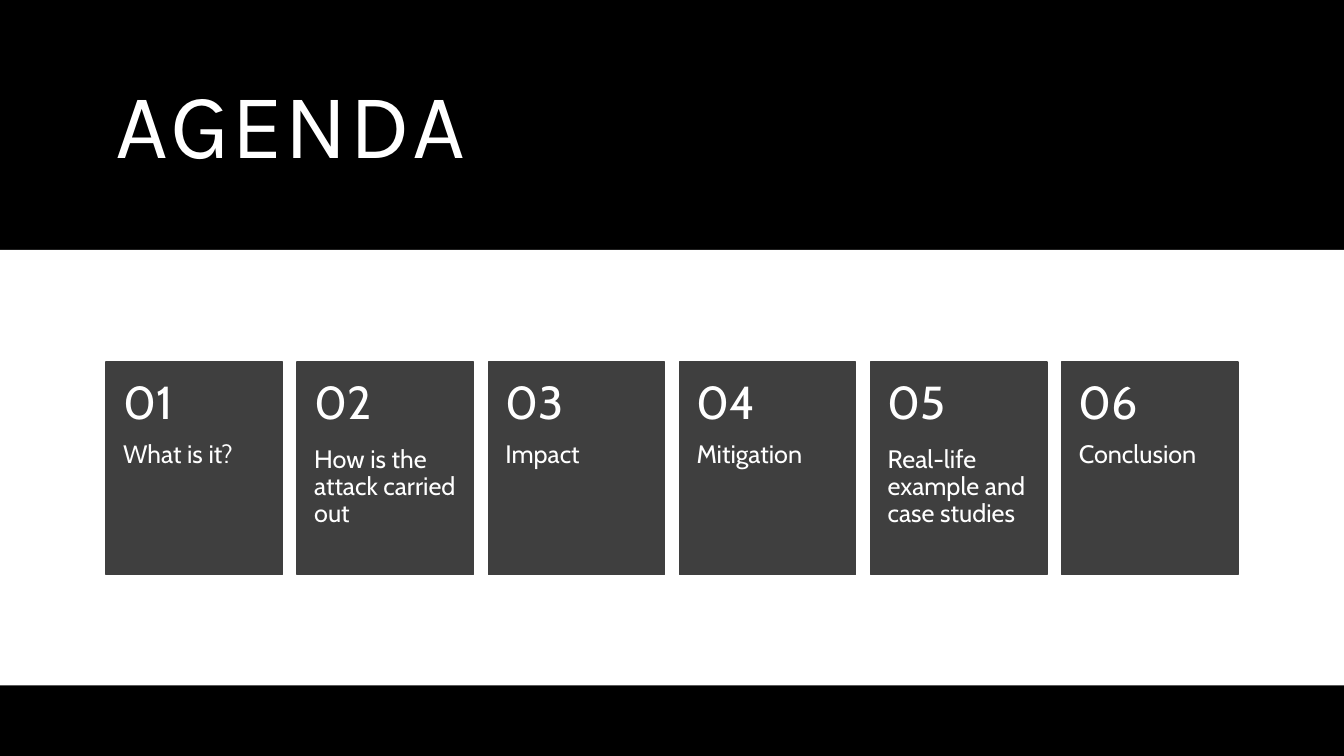
from pptx import Presentation
from pptx.dml.color import RGBColor
from pptx.enum.shapes import MSO_SHAPE as Shape
from pptx.enum.text import MSO_ANCHOR as Anchor, PP_ALIGN as Align
from pptx.util import Inches, Pt

# Content
TITLE = "AGENDA"
TOPICS = [
    "What is it?",
    "How is the attack carried out",
    "Impact",
    "Mitigation",
    "Real-life example and case studies",
    "Conclusion",
]

# Theme
THEME = {
    "black": RGBColor(0x00, 0x00, 0x00),
    "white": RGBColor(0xFF, 0xFF, 0xFF),
    "card": RGBColor(0x3F, 0x3F, 0x3F),
    "title": {"name": "Karla", "size": Pt(66)},
    "number": {"name": "Cabin", "size": Pt(33)},
    "topic": {"name": "Cabin", "size": Pt(18)},
    "title_spacing": "120",
    "line_spacing": 0.9,
}

# Layout, in inches
SLIDE_WIDTH, SLIDE_HEIGHT = 13.33, 7.5
BAND_TOP, BAND_HEIGHT = 2.48, 4.32
LEFT, CONTENT_WIDTH = 1.05, 11.23
TITLE_TOP, TITLE_HEIGHT = 0.35, 1.86
CARD_TOP, CARD_WIDTH, CARD_HEIGHT = 3.59, 1.75, 2.11
NUMBER_HEIGHT = 0.84
CARD_PITCH = (CONTENT_WIDTH - CARD_WIDTH) / (len(TOPICS) - 1)
TITLE_INSETS = (0.1, 0.05, 0.1, 0.05)
NUMBER_INSETS = (0.17, 0.18, 0.17, 0.18)
TOPIC_INSETS = (0.17, 0, 0.17, 0.36)


def set_all(target, values):
    for name, value in values.items():
        setattr(target, name, value)


def add_panel(slide, box, color, outlined=False):
    shape = slide.shapes.add_shape(Shape.RECTANGLE, *map(Inches, box))
    shape.shadow.inherit = False
    shape.fill.solid()
    shape.fill.fore_color.rgb = color
    if outlined:
        shape.line.color.rgb = color
        shape.line.width = Pt(1)
    else:
        shape.line.fill.background()


def add_text(slide, box, text, style, insets, anchor):
    frame = slide.shapes.add_textbox(*map(Inches, box)).text_frame
    sides = ("margin_left", "margin_top", "margin_right", "margin_bottom")
    set_all(frame, dict(zip(sides, map(Inches, insets))))
    set_all(frame, {"word_wrap": True, "vertical_anchor": anchor})
    paragraph = frame.paragraphs[0]
    set_all(paragraph, {"alignment": Align.LEFT,
                        "line_spacing": THEME["line_spacing"]})
    run = paragraph.add_run()
    run.text = text
    set_all(run.font, THEME[style])
    run.font.color.rgb = THEME["white"]
    return run


def add_card(slide, index, topic):
    left = LEFT + index * CARD_PITCH
    add_panel(slide, (left, CARD_TOP, CARD_WIDTH, CARD_HEIGHT),
              THEME["card"], outlined=True)
    add_text(slide, (left, CARD_TOP + NUMBER_HEIGHT, CARD_WIDTH,
                     CARD_HEIGHT - NUMBER_HEIGHT),
             topic, "topic", TOPIC_INSETS, Anchor.TOP)
    add_text(slide, (left, CARD_TOP, CARD_WIDTH, NUMBER_HEIGHT),
             f"{index + 1:02d}", "number", NUMBER_INSETS, Anchor.MIDDLE)


def main():
    presentation = Presentation()
    set_all(presentation, {"slide_width": Inches(SLIDE_WIDTH),
                           "slide_height": Inches(SLIDE_HEIGHT)})
    slide = presentation.slides.add_slide(presentation.slide_layouts[6])

    # Black backdrop, title and white band
    add_panel(slide, (0, 0, SLIDE_WIDTH, SLIDE_HEIGHT), THEME["black"])
    title = add_text(slide, (LEFT, TITLE_TOP, CONTENT_WIDTH, TITLE_HEIGHT),
                     TITLE, "title", TITLE_INSETS, Anchor.MIDDLE)
    title.font._element.set("spc", THEME["title_spacing"])
    add_panel(slide, (0, BAND_TOP, SLIDE_WIDTH, BAND_HEIGHT), THEME["white"])

    # Agenda cards
    for index, topic in enumerate(TOPICS):
        add_card(slide, index, topic)

    presentation.save("out.pptx")


if __name__ == "__main__":
    main()
